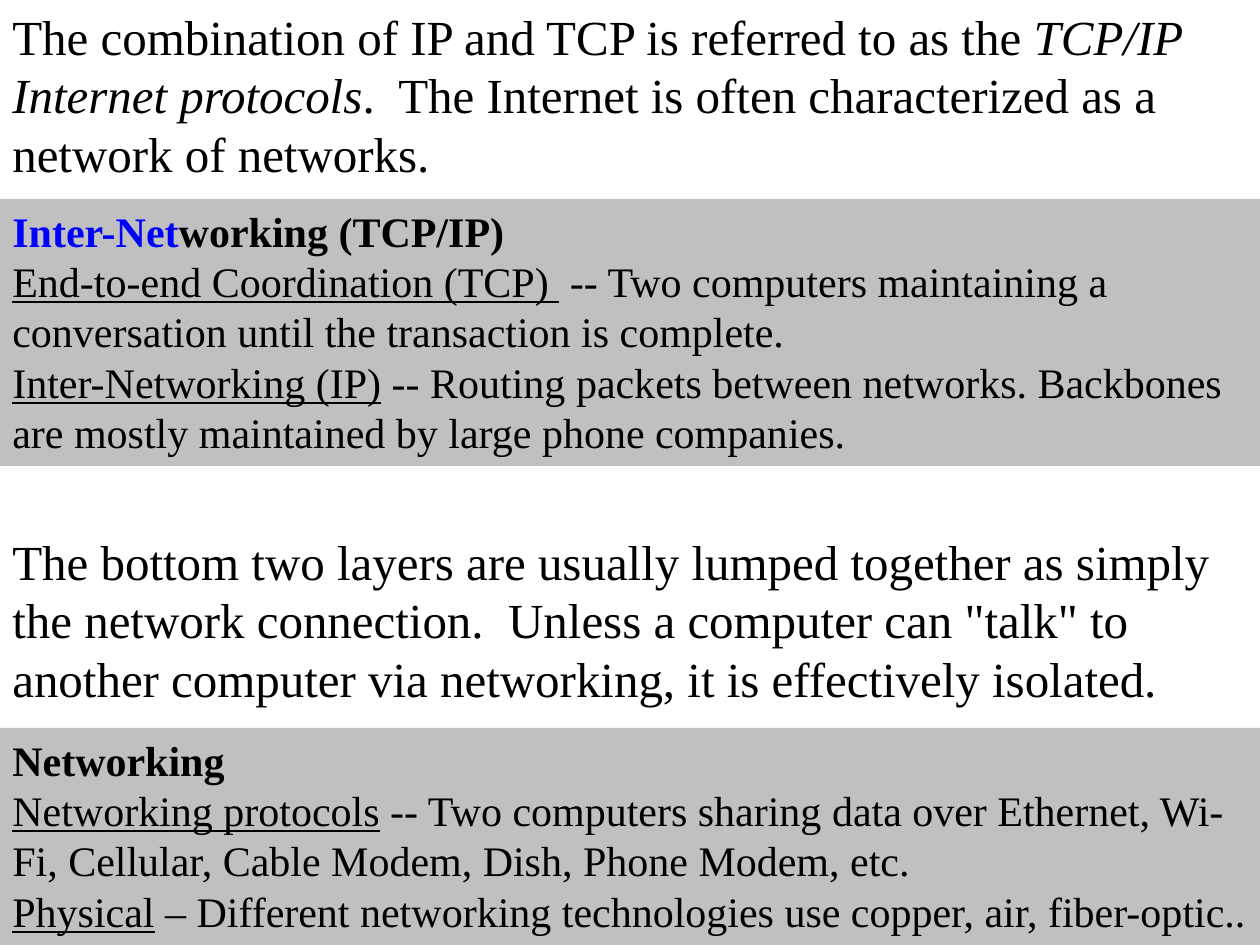
import pptx
import pptx.dml.color
import pptx.enum.shapes
import pptx.enum.text
import pptx.util

SCALE = 914400 / 126  # EMU per px
WIDTH, HEIGHT = 1260, 945
FONT = "Times New Roman"
COLORS = {"text": "000000", "accent": "0000FF", "panel": "C0C0C0"}


def emu(px):
    return pptx.util.Emu(round(px * SCALE))


def rgb(name):
    return pptx.dml.color.RGBColor.from_string(COLORS[name])


def add_span(para, text, size=24, color="text", bold=False, italic=False, underline=False):
    span = para.add_run()
    span.text = text
    font = span.font
    font.name, font.size = FONT, pptx.util.Pt(size)
    font.bold, font.italic, font.underline = bold, italic, underline
    font.color.rgb = rgb(color)


def fill_text(box, paragraphs, size):
    """Each paragraph is a list of (text, format) pairs."""
    frame = box.text_frame
    frame.word_wrap = True
    frame.auto_size = pptx.enum.text.MSO_AUTO_SIZE.SHAPE_TO_FIT_TEXT
    frame.vertical_anchor = pptx.enum.text.MSO_ANCHOR.TOP
    for index, spans in enumerate(paragraphs):
        para = frame.add_paragraph() if index else frame.paragraphs[0]
        para.alignment = pptx.enum.text.PP_ALIGN.LEFT
        for text, style in spans:
            add_span(para, text, size=size, **style)


def add_statement(page, left, top, width, height, spans):
    box = page.shapes.add_textbox(emu(left), emu(top), emu(width), emu(height))
    fill_text(box, [spans], size=28)


def add_layer_panel(page, left, top, width, height, heading, entries):
    box = page.shapes.add_shape(
        pptx.enum.shapes.MSO_SHAPE.RECTANGLE, emu(left), emu(top), emu(width), emu(height))
    box.shadow.inherit = False
    box.fill.solid()
    box.fill.fore_color.rgb = rgb("panel")
    box.line.fill.background()
    title = [(text, {"bold": True, "color": color}) for text, color in heading]
    details = [[(term, {"underline": True}), (meaning, {})] for term, meaning in entries]
    fill_text(box, [title] + details, size=24)


def main():
    deck = pptx.Presentation()
    deck.slide_width, deck.slide_height = emu(WIDTH), emu(HEIGHT)
    page = deck.slides.add_slide(deck.slide_layouts[6])

    # Internet protocols
    add_statement(page, 0, 0, WIDTH, 190, [
        ("The combination of IP and TCP is referred to as the ", {}),
        ("TCP/IP Internet protocols", {"italic": True}),
        (".  The Internet is often characterized as a network of networks.", {}),
    ])
    add_layer_panel(
        page, 0, 199, WIDTH, 267,
        [("Inter-Net", "accent"), ("working (TCP/IP)", "text")],
        [("End-to-end Coordination (TCP) ",
          " -- Two computers maintaining a conversation until the transaction is complete."),
         ("Inter-Networking (IP)",
          " -- Routing packets between networks. Backbones are mostly maintained "
          "by large phone companies.")])

    # Network connection
    add_statement(page, 0, 525, WIDTH, 190, [
        ("The bottom two layers are usually lumped together as simply the network "
         "connection.  Unless a computer can \"talk\" to another computer via networking, "
         "it is effectively isolated.", {}),
    ])
    add_layer_panel(
        page, 0, 728, WIDTH, 217,
        [("Networking", "text")],
        [("Networking protocols",
          " -- Two computers sharing data over Ethernet, Wi-Fi, Cellular, Cable Modem, "
          "Dish, Phone Modem, etc."),
         ("Physical",
          " – Different networking technologies use copper, air, fiber-optic..")])

    deck.save("out.pptx")


if __name__ == "__main__":
    main()
